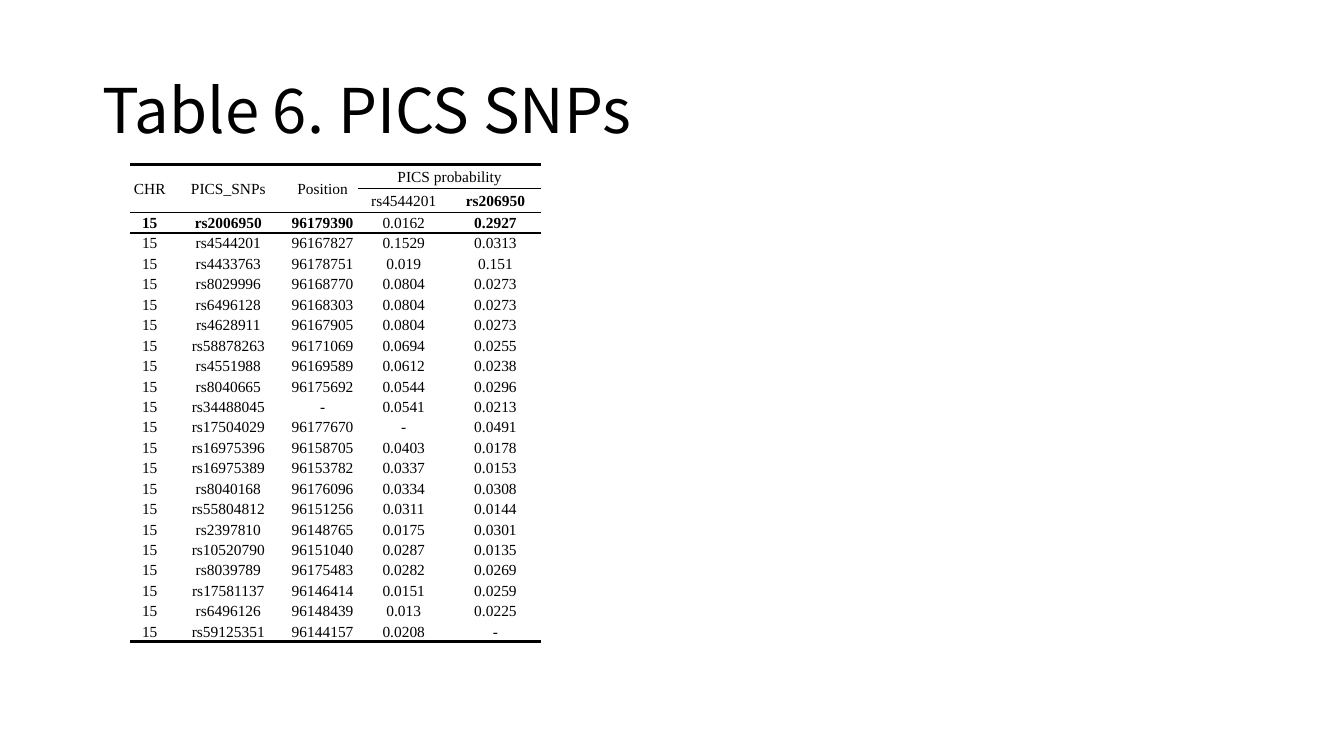
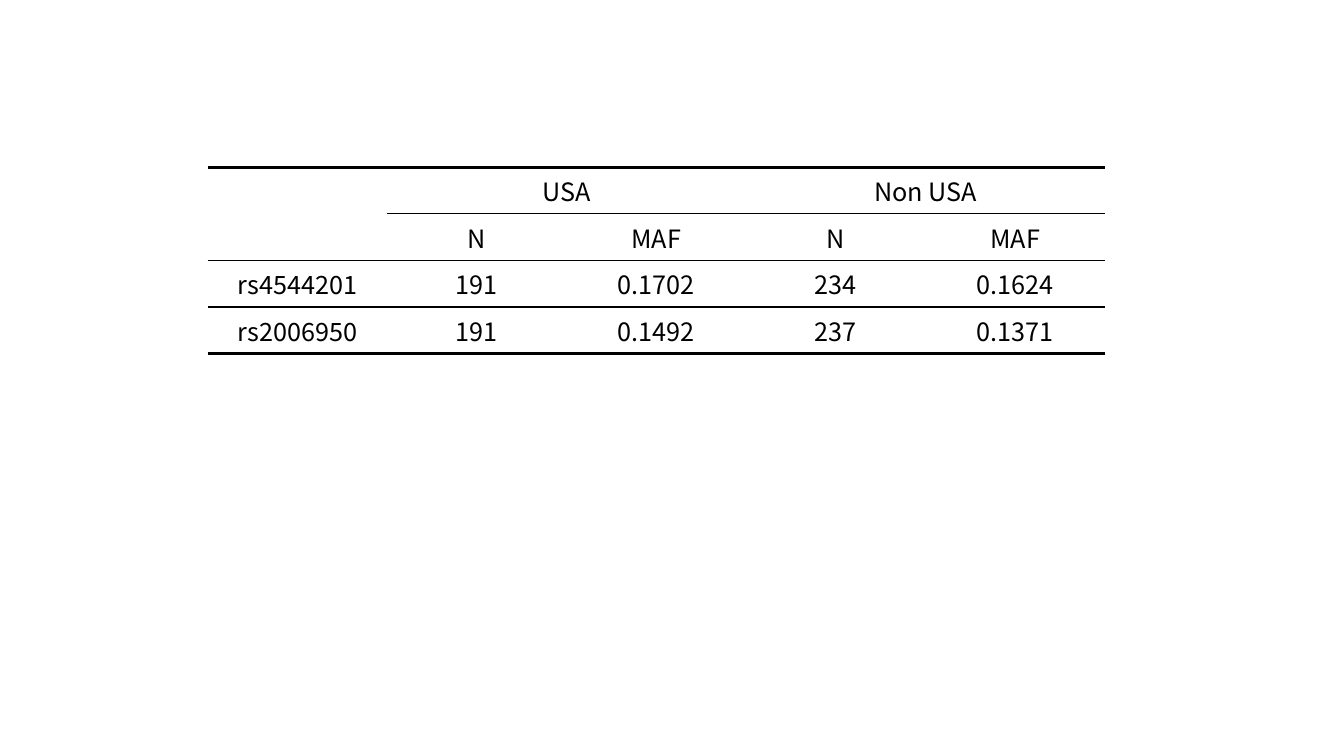
from dataclasses import dataclass

from lxml import etree
from pptx import Presentation
from pptx.dml.color import RGBColor
from pptx.enum.text import MSO_ANCHOR, PP_ALIGN
from pptx.oxml.ns import qn
from pptx.util import Inches, Pt

LEFT, CENTER = PP_ALIGN.LEFT, PP_ALIGN.CENTER
TOP, MIDDLE = MSO_ANCHOR.TOP, MSO_ANCHOR.MIDDLE
TITLE_ONLY, BLANK = 5, 6
PLAIN_TABLE_STYLE = "{2D5ABB26-0587-4C30-8999-92F81FD0307C}"


@dataclass(frozen=True)
class Theme:
    ink: str = "000000"
    sans: str = "Noto Sans CJK KR"
    serif: str = "Times New Roman"
    title_size: float = 44
    snp_size: float = 11
    frequency_size: float = 18
    thick: float = 2.25
    thin: float = 1


THEME = Theme()

TITLE = "Table 6. PICS SNPs"
CHROMOSOME = "15"
SNP_HEADER = [
    ("CHR", "PICS_SNPs", "Position", "PICS probability", ""),
    ("", "", "", "rs4544201", "rs206950"),
]
SNPS = [
    ("rs2006950", "96179390", "0.0162", "0.2927"),
    ("rs4544201", "96167827", "0.1529", "0.0313"),
    ("rs4433763", "96178751", "0.019", "0.151"),
    ("rs8029996", "96168770", "0.0804", "0.0273"),
    ("rs6496128", "96168303", "0.0804", "0.0273"),
    ("rs4628911", "96167905", "0.0804", "0.0273"),
    ("rs58878263", "96171069", "0.0694", "0.0255"),
    ("rs4551988", "96169589", "0.0612", "0.0238"),
    ("rs8040665", "96175692", "0.0544", "0.0296"),
    ("rs34488045", "-", "0.0541", "0.0213"),
    ("rs17504029", "96177670", "-", "0.0491"),
    ("rs16975396", "96158705", "0.0403", "0.0178"),
    ("rs16975389", "96153782", "0.0337", "0.0153"),
    ("rs8040168", "96176096", "0.0334", "0.0308"),
    ("rs55804812", "96151256", "0.0311", "0.0144"),
    ("rs2397810", "96148765", "0.0175", "0.0301"),
    ("rs10520790", "96151040", "0.0287", "0.0135"),
    ("rs8039789", "96175483", "0.0282", "0.0269"),
    ("rs17581137", "96146414", "0.0151", "0.0259"),
    ("rs6496126", "96148439", "0.013", "0.0225"),
    ("rs59125351", "96144157", "0.0208", "-"),
]
SNP_ROWS = SNP_HEADER + [(CHROMOSOME, *snp) for snp in SNPS]
SNP_BOLD = {(1, 4), (2, 0), (2, 1), (2, 2), (2, 4)}
# Merged areas: first row, first column, last row, last column
SNP_MERGES = [(0, 0, 1, 0), (0, 1, 1, 1), (0, 2, 1, 2), (0, 3, 0, 4)]
# Horizontal rules: row boundary -> (first column, width)
SNP_RULES = {
    0: (0, THEME.thick),
    1: (3, THEME.thin),
    2: (0, THEME.thin),
    len(SNP_ROWS): (0, THEME.thick),
}

FREQUENCY_ROWS = [
    ("", "USA", "", "Non USA", ""),
    ("", "N", "MAF", "N", "MAF"),
    ("rs4544201", "191", "0.1702", "234", "0.1624"),
    ("rs2006950", "191", "0.1492", "237", "0.1371"),
]
FREQUENCY_MERGES = [(0, 0, 1, 0), (0, 1, 0, 2), (0, 3, 0, 4)]
FREQUENCY_RULES = {
    0: (0, THEME.thick),
    1: (1, THEME.thin),
    2: (0, THEME.thin),
    3: (0, THEME.thin),
    4: (0, THEME.thick),
}


def style_font(paragraph, name, size, bold=False):
    font = paragraph.font
    font.name, font.size, font.bold = name, Pt(size), bold
    font.color.rgb = RGBColor.from_string(THEME.ink)


def add_border(cell, tag, width):
    line = etree.SubElement(cell._tc.get_or_add_tcPr(), qn(tag), w=str(Pt(width)))
    fill = etree.SubElement(line, qn("a:solidFill"))
    etree.SubElement(fill, qn("a:srgbClr"), val=THEME.ink)


def add_ruled_table(slide, rows, left, top, widths, heights, merges, rules,
                    font, size, bold=(), anchor=TOP, insets=None):
    """Add an unfilled table; insets are left, top, right and bottom in inches."""
    frame = slide.shapes.add_table(
        len(rows), len(widths), Inches(left), Inches(top),
        Inches(sum(widths)), Inches(sum(heights)))
    table = frame.table
    table.first_row = table.horz_banding = False
    table._tbl.tblPr.find(qn("a:tableStyleId")).text = PLAIN_TABLE_STYLE
    for column, width in zip(table.columns, widths):
        column.width = Inches(width)
    for row, height in zip(table.rows, heights):
        row.height = Inches(height)

    for r, values in enumerate(rows):
        for c, value in enumerate(values):
            cell = table.cell(r, c)
            cell.text = value
            cell.vertical_anchor = anchor
            if insets:
                (cell.margin_left, cell.margin_top,
                 cell.margin_right, cell.margin_bottom) = map(Inches, insets)
            for tag, boundary in (("a:lnT", r), ("a:lnB", r + 1)):
                if boundary in rules:
                    first_column, width = rules[boundary]
                    if c >= first_column:
                        add_border(cell, tag, width)
            cell.fill.background()
            paragraph = cell.text_frame.paragraphs[0]
            paragraph.alignment = CENTER
            style_font(paragraph, font, size, (r, c) in bold)

    for first_row, first_column, last_row, last_column in merges:
        table.cell(first_row, first_column).merge(table.cell(last_row, last_column))


def add_title(slide, text):
    title = slide.shapes.title
    title.left, title.top = Inches(0.92), Inches(0.4)
    title.width, title.height = Inches(11.5), Inches(1.45)
    title.text_frame.text = text
    title.text_frame.vertical_anchor = MIDDLE
    paragraph = title.text_frame.paragraphs[0]
    paragraph.alignment = LEFT
    paragraph.line_spacing = 0.9
    style_font(paragraph, THEME.sans, THEME.title_size)


def build_snp_slide(prs):
    slide = prs.slides.add_slide(prs.slide_layouts[TITLE_ONLY])
    add_title(slide, TITLE)
    table_height, header_height = 4.74, 0.24
    body_height = (table_height - header_height * len(SNP_HEADER)) / len(SNPS)
    heights = [header_height] * len(SNP_HEADER) + [body_height] * len(SNPS)
    add_ruled_table(
        slide, SNP_ROWS, 1.29, 1.63, [0.39, 1.17, 0.7, 0.91, 0.91], heights,
        SNP_MERGES, SNP_RULES, THEME.serif, THEME.snp_size,
        bold=SNP_BOLD, anchor=MIDDLE, insets=(0.01, 0.01, 0.01, 0))


def build_frequency_slide(prs):
    slide = prs.slides.add_slide(prs.slide_layouts[BLANK])
    add_ruled_table(
        slide, FREQUENCY_ROWS, 2.06, 1.66, [1.78] * 5, [0.41] * 4,
        FREQUENCY_MERGES, FREQUENCY_RULES, THEME.sans, THEME.frequency_size)


def main():
    prs = Presentation()
    prs.slide_width, prs.slide_height = Inches(13.33), Inches(7.5)
    build_snp_slide(prs)
    build_frequency_slide(prs)
    prs.save("out.pptx")


if __name__ == "__main__":
    main()
